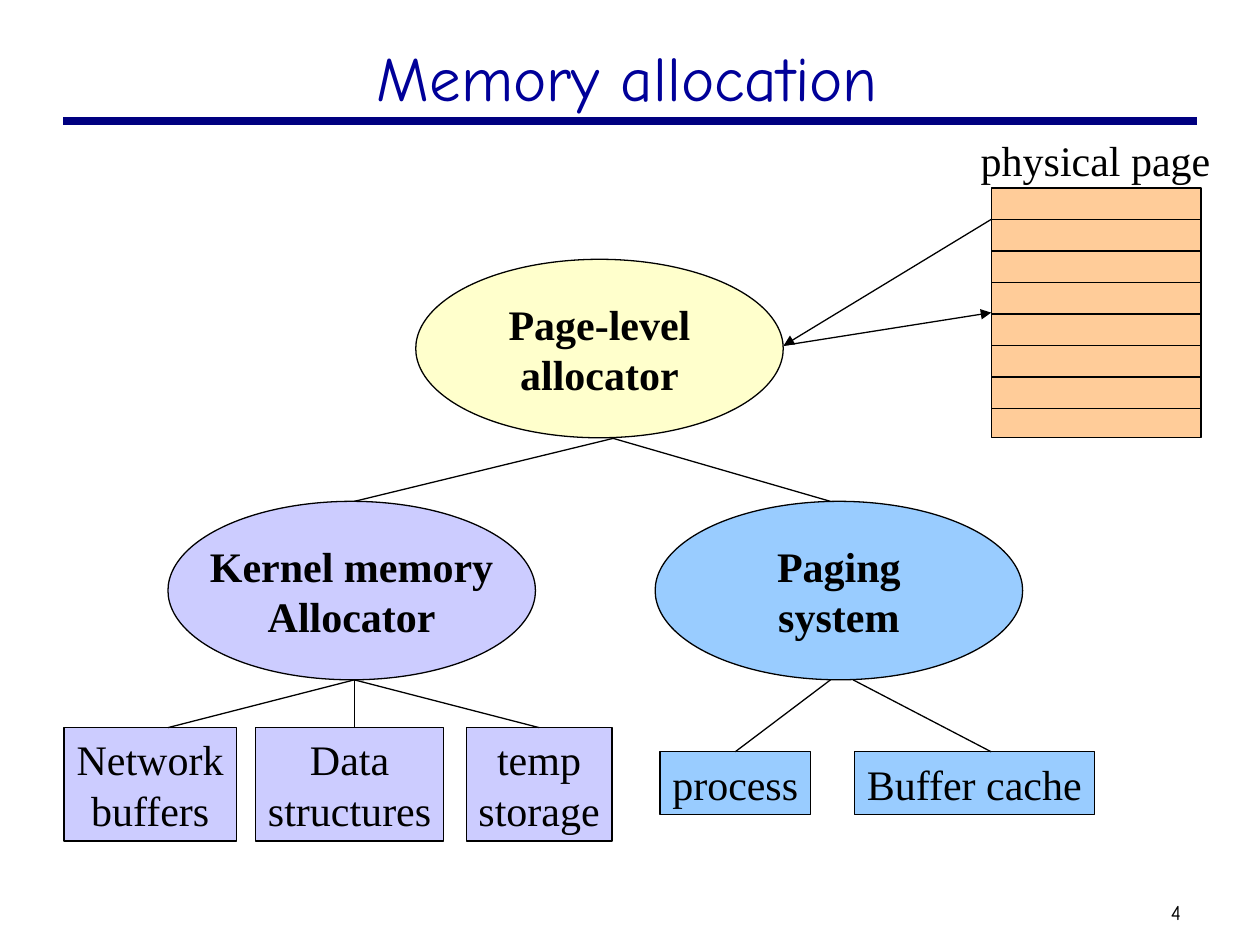
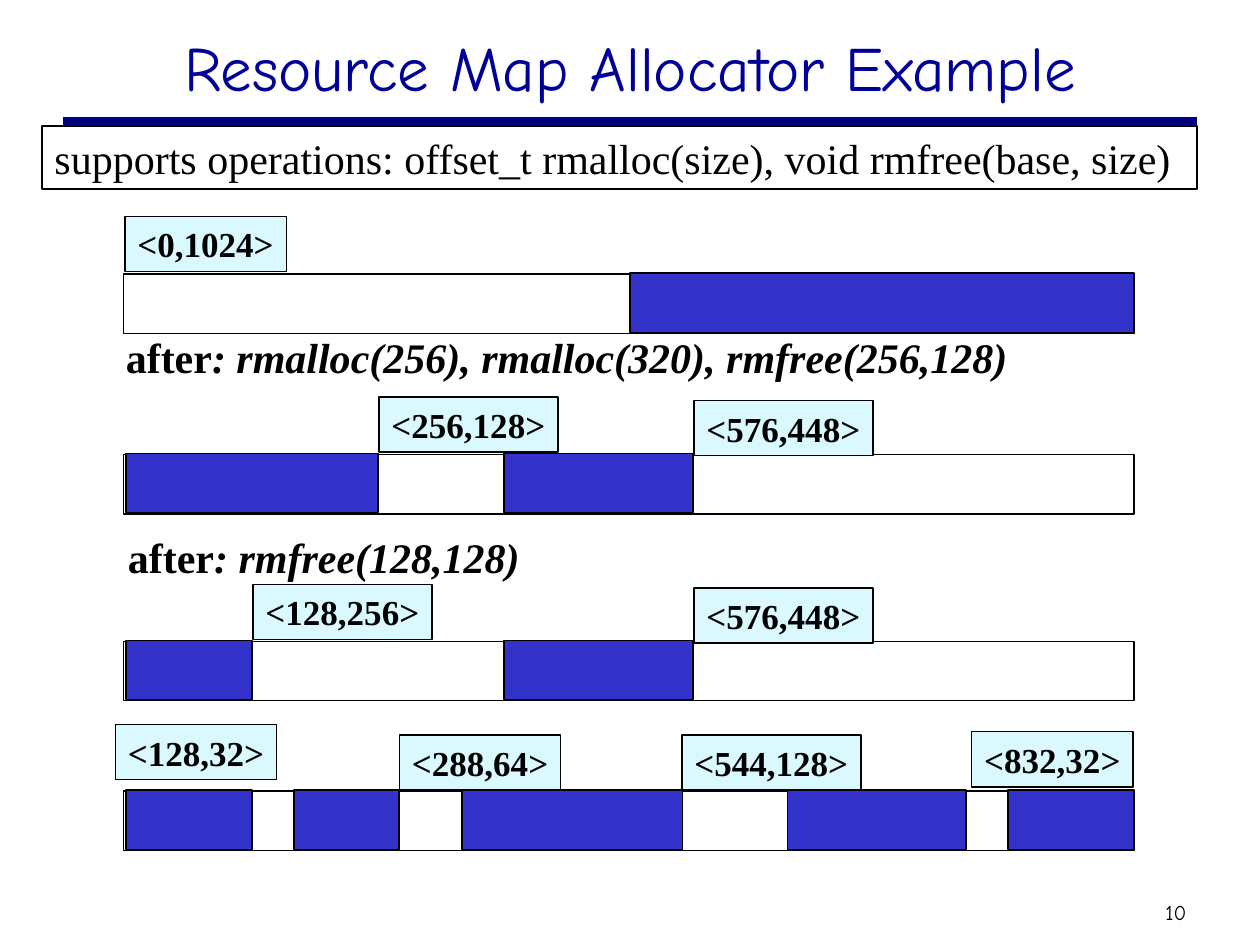
from dataclasses import dataclass
from typing import NamedTuple

from lxml.etree import SubElement
from pptx import Presentation
from pptx.dml.color import RGBColor
from pptx.enum.shapes import MSO_CONNECTOR, MSO_SHAPE
from pptx.enum.text import MSO_ANCHOR, PP_ALIGN
from pptx.oxml.ns import qn
from pptx.util import Emu, Inches, Pt

WIDE, HIGH = Inches(10), Inches(7.5)
COLS, ROWS = 120, 90
SERIF, HAND = "Times New Roman", "Comic Neue"
HUES = {
    "ink": "000000",
    "paper": "FFFFFF",
    "band": "000080",
    "title": "000099",
    "cream": "FFFFCC",
    "peach": "FFCC99",
    "lilac": "CCCCFF",
    "sky": "99CCFF",
    "ice": "D9F9FF",
    "used": "3333CC",
}


class Area(NamedTuple):
    col: float
    row: float
    wide: float
    high: float


class Spot(NamedTuple):
    col: float
    row: float


@dataclass
class Node:
    text: str
    area: Area
    hue: str
    kind: MSO_SHAPE = MSO_SHAPE.RECTANGLE
    bold: bool = False


@dataclass
class Link:
    start: Spot
    end: Spot
    arrow: bool = False
    join: str = ""
    site: int = 0


@dataclass
class Strip:
    row: float
    used: list[tuple[float, float]]
    tags: list[tuple[str, float, float]]


@dataclass
class Note:
    call: str
    area: Area


def across(cols: float) -> Emu:
    return Emu(round(WIDE * cols / COLS))


def down(rows: float) -> Emu:
    return Emu(round(HIGH * rows / ROWS))


def place(area: Area) -> tuple[Emu, Emu, Emu, Emu]:
    return across(area.col), down(area.row), across(area.wide), down(area.high)


def color(name: str) -> RGBColor:
    return RGBColor.from_string(HUES[name])


def write(shape, text: str, *, size: float = 24, face: str = SERIF,
          hue: str = "ink", bold: bool = False, tail: str = "",
          align=PP_ALIGN.LEFT, wrap: bool = False, pad: float = 0.1) -> None:
    frame = shape.text_frame
    frame.word_wrap = wrap
    frame.vertical_anchor = MSO_ANCHOR.MIDDLE
    frame.margin_left = frame.margin_right = Inches(pad)
    frame.margin_top = frame.margin_bottom = Inches(0.05)
    for index, line in enumerate(text.split("\n")):
        para = frame.add_paragraph() if index else frame.paragraphs[0]
        para.alignment = align
        para.add_run().text = line
    if tail:
        run = para.add_run()
        run.text = tail
        run.font.italic = True
    for para in frame.paragraphs:
        for run in para.runs:
            run.font.size, run.font.name = Pt(size), face
            run.font.bold = bold
            run.font.color.rgb = color(hue)


def label(slide, area: Area, text: str, **style) -> None:
    write(slide.shapes.add_textbox(*place(area)), text, **style)


def block(slide, area: Area, hue: str, kind=MSO_SHAPE.RECTANGLE):
    shape = slide.shapes.add_shape(kind, *place(area))
    shape.shadow.inherit = False
    shape.fill.solid()
    shape.fill.fore_color.rgb = color(hue)
    shape.line.color.rgb = color("ink")
    shape.line.width = Pt(0.75)
    return shape


def draw(slide, link: Link, hue: str = "ink", width: float = 0.75):
    line = slide.shapes.add_connector(
        MSO_CONNECTOR.STRAIGHT,
        across(link.start.col), down(link.start.row),
        across(link.end.col), down(link.end.row))
    line.line.color.rgb = color(hue)
    line.line.width = Pt(width)
    props = line._element.spPr
    if link.arrow:
        SubElement(props.find(qn("a:ln")), qn("a:tailEnd"), type="triangle")
    SubElement(props, qn("a:effectLst"))
    return line


def begin(deck, title: str, area: Area, number: int):
    slide = deck.slides.add_slide(deck.slide_layouts[6])
    draw(slide, Link(Spot(6, 11.55), Spot(114, 11.55)), "band", 4.5)
    label(slide, Area(109.2, 85.1, 5.6, 3.6), str(number), size=12,
          face=HAND, align=PP_ALIGN.CENTER, pad=0.05)
    label(slide, area, title, size=36, face=HAND, hue="title",
          align=PP_ALIGN.CENTER, wrap=True)
    return slide


def oval(text: str, col: float, row: float, hue: str) -> Node:
    return Node(text, Area(col, row, 35, 17), hue, MSO_SHAPE.OVAL, True)


def leaf(text: str, col: float, wide: float) -> Node:
    return Node(text, Area(col, 69.3, wide, 10.8), "lilac")


def tree(deck) -> None:
    slide = begin(deck, "Memory allocation", Area(8.75, 2.6, 102, 9.4), 4)
    nodes = [
        oval("Page-level\nallocator", 39.6, 24.7, "cream"),
        oval("Kernel memory\nAllocator", 16, 47.75, "lilac"),
        oval("Paging\nsystem", 62.4, 47.75, "sky"),
        leaf("Network\nbuffers", 6.1, 16.4),
        leaf("Data\nstructures", 24.35, 17.9),
        leaf("temp\nstorage", 44.4, 13.9),
        Node("process", Area(62.85, 71.6, 14.35, 6), "sky"),
        Node("Buffer cache", Area(81.35, 71.6, 22.9, 6), "sky"),
    ]
    shapes = {}
    for node in nodes:
        shape = block(slide, node.area, node.hue, node.kind)
        write(shape, node.text, bold=node.bold, align=PP_ALIGN.CENTER)
        shapes[node.text] = shape

    page = Area(94.4, 17.9, 20, 23.75)
    shapes["page"] = block(slide, page, "peach")
    for step in range(1, 8):
        row = page.row + 3 * step
        draw(slide, Link(Spot(page.col, row), Spot(page.col + page.wide, row)))
    label(slide, Area(92.8, 12.25, 25.2, 6), "physical page",
          wrap=True, pad=0.05)

    root, kernel = Spot(58.4, 41.75), Spot(33.75, 64.75)
    port = Spot(74.65, 32.9)
    links = [
        Link(kernel, Spot(16, 69.3)),
        Link(kernel, Spot(33.75, 69.3)),
        Link(kernel, Spot(51, 69.3), join="temp\nstorage"),
        Link(Spot(79.1, 64.75), Spot(70, 71.6), join="process"),
        Link(Spot(81.25, 64.75), Spot(94.4, 71.6)),
        Link(root, Spot(33.75, 47.75)),
        Link(root, Spot(79.1, 47.75)),
        Link(Spot(page.col, page.row + 3), port, arrow=True),
        Link(port, Spot(page.col, 29.9), arrow=True, join="page", site=1),
    ]
    for link in links:
        line = draw(slide, link)
        if link.join:
            line.end_connect(shapes[link.join], link.site)


def maps(deck) -> None:
    slide = begin(deck, "Resource Map Allocator Example",
                  Area(9, 1.95, 102, 8.65), 10)
    strips = [
        Strip(26.1, [(60, 48)], [("<0,1024>", 11.9, 20.6)]),
        Strip(43.3, [(12, 24), (48, 18)],
              [("<256,128>", 36.1, 37.8), ("<576,448>", 66.1, 38.15)]),
        Strip(61.1, [(12, 12), (48, 18)],
              [("<128,256>", 24.1, 55.65), ("<576,448>", 66.1, 56)]),
        Strip(75.35, [(12, 12), (28, 10), (44, 21), (75, 17), (96, 12)],
              [("<128,32>", 11, 69), ("<288,64>", 38.05, 70),
               ("<544,128>", 64.95, 70), ("<832,32>", 92.55, 69.7)]),
    ]
    notes = [
        Note(": rmalloc(256), rmalloc(320), rmfree(256,128)",
             Area(10.8, 31, 86.4, 6)),
        Note(": rmfree(128,128)", Area(11, 50, 39.7, 6)),
    ]
    box = block(slide, Area(4, 12, 110, 6), "paper")
    write(box, "supports operations: offset_t rmalloc(size), "
               "void rmfree(base, size)", wrap=True)
    for strip in strips:
        block(slide, Area(11.75, strip.row, 96.25, 5.65), "paper")
        for col, wide in strip.used:
            block(slide, Area(col, strip.row - 0.1, wide, 5.65), "used")
        for text, col, row in strip.tags:
            wide = 1.92 + 1.68 * len(text)
            tag = block(slide, Area(col, row, wide, 5.25), "ice")
            write(tag, text, size=20, bold=True)
    for note in notes:
        label(slide, note.area, "after", bold=True, tail=note.call)


def main() -> None:
    deck = Presentation()
    deck.slide_width, deck.slide_height = WIDE, HIGH
    tree(deck)
    maps(deck)
    deck.save("out.pptx")


if __name__ == "__main__":
    main()
